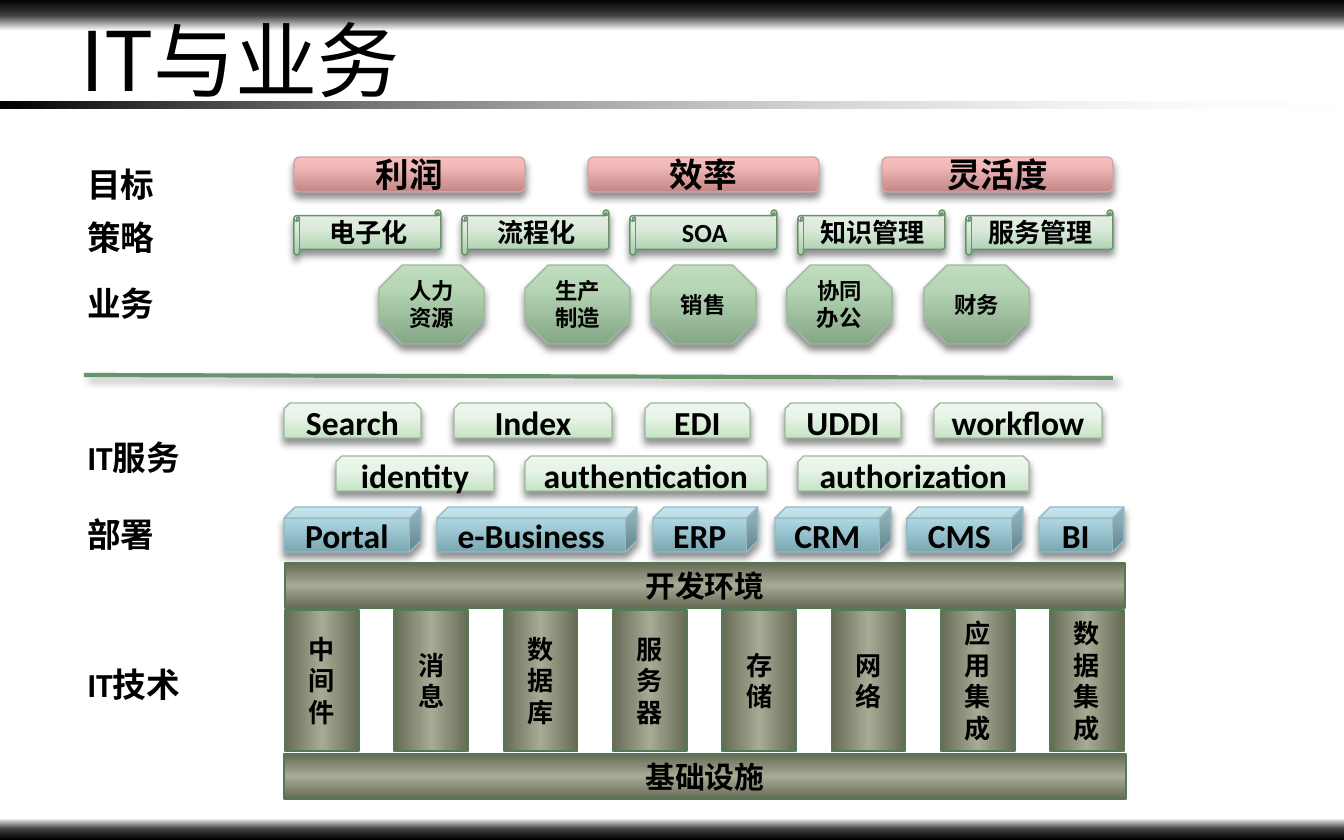
from lxml import etree
from pptx import Presentation
from pptx.dml.color import RGBColor
from pptx.enum.shapes import MSO_CONNECTOR, MSO_SHAPE
from pptx.enum.text import MSO_ANCHOR, PP_ALIGN
from pptx.oxml.ns import qn
from pptx.util import Pt

RECTANGLE, ROUNDED = MSO_SHAPE.RECTANGLE, MSO_SHAPE.ROUNDED_RECTANGLE
SCROLL, OCTAGON = MSO_SHAPE.HORIZONTAL_SCROLL, MSO_SHAPE.OCTAGON
SNIPPED, CUBE = MSO_SHAPE.SNIP_2_SAME_RECTANGLE, MSO_SHAPE.CUBE
STRAIGHT = MSO_CONNECTOR.STRAIGHT
LEFT, CENTER = PP_ALIGN.LEFT, PP_ALIGN.CENTER
TOP, MIDDLE = MSO_ANCHOR.TOP, MSO_ANCHOR.MIDDLE

LATIN_FONT, CHINESE_FONT = "Calibri", "Noto Sans CJK SC"
SLIDE_WIDTH, SLIDE_HEIGHT = 1344, 840
EMU_PER_PX = 9144000 / SLIDE_WIDTH

color = RGBColor.from_string
BLACK, CHARCOAL, WHITE = color("000000"), color("404040"), color("FFFFFF")
PALE_GREEN, FOREST = color("E6EFE7"), color("67946B")
ROSE_EDGE, SAGE_EDGE = color("D3A6A6"), color("A0B9A0")
BLUE_EDGE, OLIVE_EDGE = color("98BAC3"), color("547957")


def ramp(dark, middle, light, position):
    return [(0, color(dark)), (position, color(middle)), (100, color(light))]


ROSE = ramp("C18787", "F2B8B8", "F7BEBE", 72)
MINT = ramp("A4CEA7", "DEEBDE", "E7F1E8", 62)
SAGE = ramp("85A785", "B6D6B6", "BEDDBE", 72)
PALE = ramp("C5E4C5", "E8F4E8", "EFF7EF", 62)
BLUE = ramp("7BA7B3", "ACD7E2", "B4DDE9", 72)
OLIVE = ramp("676A55", "A7AA95", "676A55", 50)
FADE = [(0, BLACK), (50, CHARCOAL), (100, WHITE)]
RULE = [(0, BLACK), (100, PALE_GREEN, 0)]

# left, top, width, height, gradient, angle
DECORATION = [
    (0, 0, SLIDE_WIDTH, 31, FADE, 90),
    (0, 818, SLIDE_WIDTH, 22, FADE, 270),
    (0, 102, SLIDE_WIDTH, 7, RULE, 0),
]

# text, top, width, wraps
LABELS = [
    ("目标", 157, 95, False),
    ("策略", 210, 95, False),
    ("业务", 276, 95, False),
    ("IT服务", 430, 121, True),
    ("部署", 507, 95, False),
    ("IT技术", 657, 121, True),
]


def evenly(texts, left, step, width):
    return [(text, left + step * i, width) for i, text in enumerate(texts)]


GOALS = evenly(["利润", "效率", "灵活度"], 294, 294, 231)
STRATEGIES = evenly(["电子化", "流程化", "SOA", "知识管理", "服务管理"], 294, 168, 147)
BUSINESSES = [("人力资源", 379, 105), ("生产制造", 525, 105), ("销售", 651, 105),
              ("协同办公", 787, 105), ("财务", 924, 105)]
SERVICES = [("Search", 284, 137), ("Index", 454, 158), ("EDI", 645, 105),
            ("UDDI", 785, 116), ("workflow", 934, 168)]
SECURITY = [("identity", 336, 158), ("authentication", 525, 242),
            ("authorization", 798, 231)]
DEPLOYMENTS = [("Portal", 284, 137), ("e-Business", 437, 200), ("ERP", 653, 105),
               ("CRM", 775, 116), ("CMS", 907, 116), ("BI", 1039, 85)]
TECHNOLOGIES = evenly(["中间件", "消息", "数据库", "服务器", "存储", "网络",
                       "应用集成", "数据集成"], 285, 765 / 7, 74)

# items, top, height, preset, gradient, edge, text size
RAISED_ROWS = [
    (GOALS, 157, 35, ROUNDED, ROSE, ROSE_EDGE, 18),
    (STRATEGIES, 210, 45, SCROLL, MINT, FOREST, 14),
    (BUSINESSES, 265, 79, OCTAGON, SAGE, SAGE_EDGE, 12),
    (SERVICES, 403, 35, SNIPPED, PALE, SAGE_EDGE, 18),
    (SECURITY, 456, 35, SNIPPED, PALE, SAGE_EDGE, 18),
    (DEPLOYMENTS, 507, 45, CUBE, BLUE, BLUE_EDGE, 18),
]

# items, top, height, gradient angle, text size
FLAT_ROWS = [
    ([("开发环境", 285, 840)], 563, 45, 90, 16),
    (TECHNOLOGIES, 610, 141, 0, 14),
    ([("基础设施", 284, 842)], 754, 45, 90, 16),
]


def px(*lengths):
    return [round(length * EMU_PER_PX) for length in lengths]


def write(shape, text, size=18, bold=True, font=LATIN_FONT, align=CENTER,
          anchor=MIDDLE, wrap=True):
    frame = shape.text_frame
    frame.word_wrap = wrap
    frame.vertical_anchor = anchor
    paragraph = frame.paragraphs[0]
    paragraph.alignment = align
    run = paragraph.add_run()
    run.text = text
    run.font.size = Pt(size)
    run.font.bold = bold
    run.font.name = font
    run.font.color.rgb = BLACK
    east_asian = etree.SubElement(run.font._element, qn("a:ea"))
    east_asian.set("typeface", CHINESE_FONT)


def add_color(parent, rgb, alpha):
    node = etree.SubElement(parent, qn("a:srgbClr"), val=str(rgb))
    if alpha < 100:
        etree.SubElement(node, qn("a:alpha"), val=str(alpha * 1000))


def fill_gradient(shape, stops, angle):
    shape.fill.gradient()
    gradient = shape.element.spPr.find(qn("a:gradFill"))
    for child in list(gradient):
        gradient.remove(child)
    stop_list = etree.SubElement(gradient, qn("a:gsLst"))
    for position, rgb, *alpha in stops:
        stop = etree.SubElement(stop_list, qn("a:gs"), pos=str(position * 1000))
        add_color(stop, rgb, alpha[0] if alpha else 100)
    etree.SubElement(gradient, qn("a:lin"), ang=str(angle * 60000), scaled="0")


def add_shadow(effects, alpha, angle):
    shadow = etree.SubElement(effects, qn("a:outerShdw"), blurRad=str(Pt(4)),
                              dist=str(Pt(3)), dir=str(angle * 60000), rotWithShape="0")
    add_color(shadow, BLACK, alpha)


def add_block(slide, preset, box, stops, angle, edge=None, edge_width=1, raised=False):
    shape = slide.shapes.add_shape(preset, *px(*box))
    fill_gradient(shape, stops, angle)
    if edge is None:
        shape.line.fill.background()
    else:
        shape.line.color.rgb = edge
        shape.line.width = Pt(edge_width)
    shape.shadow.inherit = False
    if raised:
        add_shadow(shape.element.spPr.find(qn("a:effectLst")), 43, 90)
    return shape


def add_divider(slide):
    divider = slide.shapes.add_connector(STRAIGHT, *px(84, 375, 1113, 378))
    divider.line.color.rgb = FOREST
    divider.line.width = Pt(2.25)
    effects = etree.SubElement(divider.element.spPr, qn("a:effectLst"))
    add_shadow(effects, 40, 45)


def main():
    presentation = Presentation()
    presentation.slide_width, presentation.slide_height = px(SLIDE_WIDTH, SLIDE_HEIGHT)
    slide = presentation.slides.add_slide(presentation.slide_layouts[6])

    for *box, stops, angle in DECORATION:
        add_block(slide, RECTANGLE, box, stops, angle)
    title = slide.shapes.add_textbox(*px(67, 23, 1210, 71))
    write(title, "IT与业务", size=44, bold=False, font=CHINESE_FONT, align=LEFT)

    for items, top, height, preset, stops, edge, size in RAISED_ROWS:
        for text, left, width in items:
            block = add_block(slide, preset, (left, top, width, height), stops, 270,
                              edge, edge_width=0.75, raised=True)
            write(block, text, size=size)
    for items, top, height, angle, size in FLAT_ROWS:
        for text, left, width in items:
            block = add_block(slide, RECTANGLE, (left, top, width, height), OLIVE,
                              angle, OLIVE_EDGE)
            write(block, text, size=size)

    for text, top, width, wraps in LABELS:
        label = slide.shapes.add_textbox(*px(74, top, width, 54))
        write(label, text, align=LEFT, anchor=TOP, wrap=wraps)
    add_divider(slide)
    presentation.save("out.pptx")


if __name__ == "__main__":
    main()
